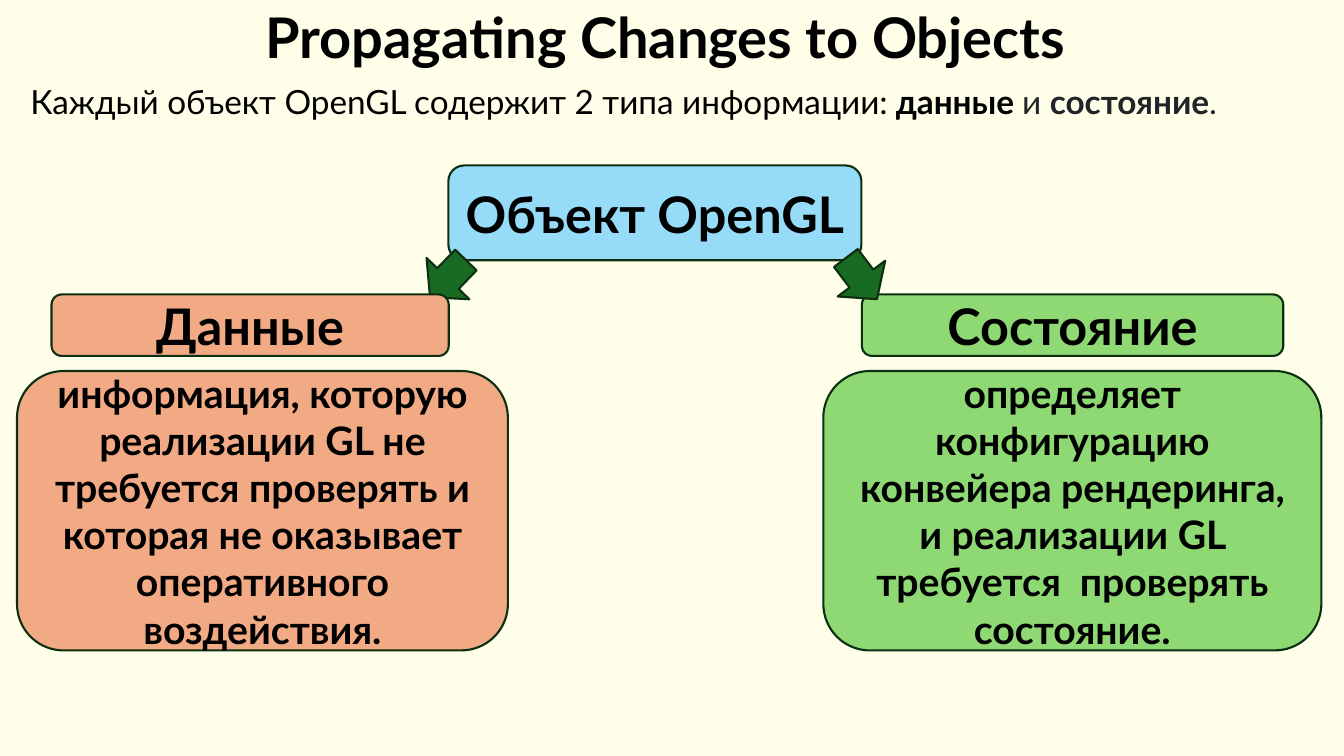
from pptx import Presentation
from pptx.dml.color import RGBColor
from pptx.enum import shapes, text
from pptx.util import Cm, Pt

FONT = "Lato"
BLACK, OUTLINE = "000000", "0B2F10"
BLUE, ORANGE, GREEN, DARK_GREEN = "96DCF8", "F2AA84", "8ED973", "196B24"
ROUNDED = shapes.MSO_SHAPE.ROUNDED_RECTANGLE
ARROW = shapes.MSO_SHAPE.LEFT_ARROW


def style_run(run, size, color=BLACK, bold=True):
    run.font.name = FONT
    run.font.size = Pt(size)
    run.font.bold = bold
    run.font.color.rgb = RGBColor.from_string(color)


def add_figure(kind, box, fill, label="", size=36, rotation=0):
    """Add an outlined shape; box is left, top, width, height in centimetres."""
    shape = slide.shapes.add_shape(kind, *map(Cm, box))
    shape.shadow.inherit = False
    shape.rotation = rotation
    shape.fill.solid()
    shape.fill.fore_color.rgb = RGBColor.from_string(fill)
    shape.line.color.rgb = RGBColor.from_string(OUTLINE)
    shape.line.width = Pt(1.5)
    if label:
        frame = shape.text_frame
        frame.text = label
        frame.word_wrap = True
        frame.vertical_anchor = text.MSO_ANCHOR.MIDDLE
        paragraph = frame.paragraphs[0]
        paragraph.alignment = text.PP_ALIGN.CENTER
        style_run(paragraph.runs[0], size)


presentation = Presentation()
presentation.slide_width, presentation.slide_height = Cm(33.87), Cm(19.05)
slide = presentation.slides.add_slide(presentation.slide_layouts[0])
slide.background.fill.solid()
slide.background.fill.fore_color.rgb = RGBColor.from_string("FFFEE8")

# Title and introduction
title, introduction = slide.placeholders
title.left, title.top, title.width, title.height = Cm(0), Cm(0), Cm(33.87), Cm(1.9)
introduction.left, introduction.top = Cm(0.51), Cm(2.03)
introduction.width, introduction.height = Cm(31.83), Cm(1.83)

title.text_frame.text = "Propagating Changes to Objects "
title.text_frame.vertical_anchor = text.MSO_ANCHOR.BOTTOM
title.text_frame.paragraphs[0].alignment = text.PP_ALIGN.CENTER
style_run(title.text_frame.paragraphs[0].runs[0], 40)

introduction.text_frame.vertical_anchor = text.MSO_ANCHOR.TOP
paragraph = introduction.text_frame.paragraphs[0]
paragraph.alignment = text.PP_ALIGN.LEFT
paragraph.space_before = Pt(10)
for words, color, bold in [
    ("Каждый объект OpenGL содержит 2 типа информации: ", BLACK, False),
    ("данные ", BLACK, True),
    ("и ", "212529", False),
    ("состояние", "212529", True),
    (".", "212529", False),
]:
    run = paragraph.add_run()
    run.text = words
    style_run(run, 23.8, color, bold)

for placeholder in (title, introduction):
    placeholder.text_frame.auto_size = text.MSO_AUTO_SIZE.NONE
    placeholder.text_frame.word_wrap = True
    placeholder.text_frame.paragraphs[0].line_spacing = 0.9

# Object and its two kinds of information, from back to front
HEADING_TOP, HEADING_HEIGHT = 7.42, 1.55
DETAIL_TOP, DETAIL_HEIGHT = 9.35, 7.04

add_figure(ROUNDED, (11.3, 4.17, 10.41, 2.39), BLUE, "Объект OpenGL")
add_figure(ROUNDED, (21.72, HEADING_TOP, 10.62, HEADING_HEIGHT), GREEN, "Состояние")
for left, rotation in [(10.64, 314), (21.06, 233)]:
    add_figure(ARROW, (left, 6.27, 1.3, 1.5), DARK_GREEN, rotation=rotation)
add_figure(ROUNDED, (1.3, HEADING_TOP, 10.01, HEADING_HEIGHT), ORANGE, "Данные")

for left, width, fill, detail in [
    (0.43, 12.37, ORANGE,
     "информация, которую реализации GL не требуется проверять "
     "и которая не оказывает оперативного воздействия."),
    (20.75, 12.55, GREEN,
     "определяет конфигурацию конвейера рендеринга, "
     "и реализации GL требуется  проверять состояние."),
]:
    add_figure(ROUNDED, (left, DETAIL_TOP, width, DETAIL_HEIGHT), fill, detail, 28)

presentation.save("out.pptx")
